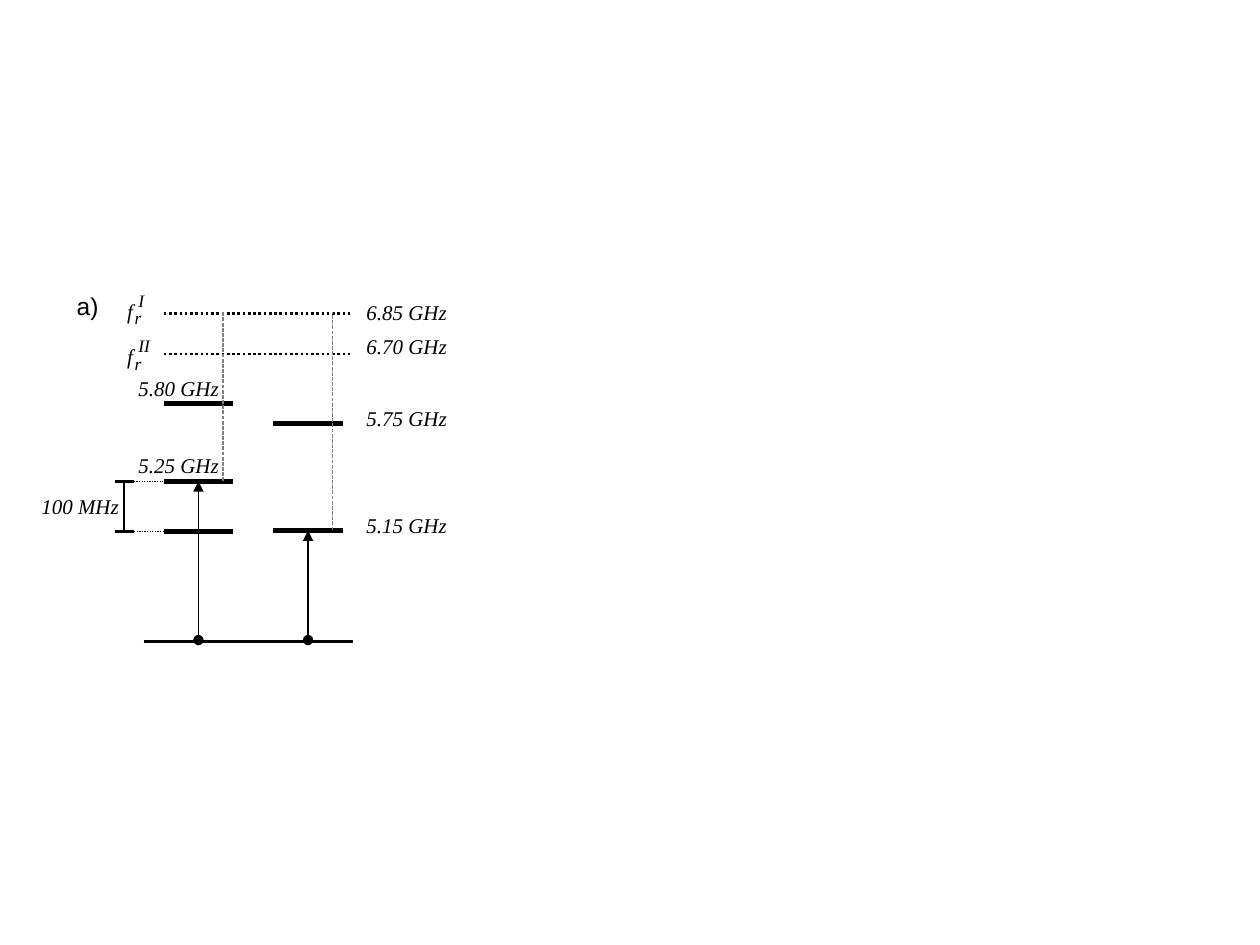
from lxml import etree
from pptx import Presentation, util as u
from pptx.dml.color import RGBColor
from pptx.enum import dml, shapes as kinds, text
from pptx.oxml.ns import qn

BLACK, GREY = "000000", "808080"
SERIF = {"name": "Times New Roman", "size": u.Pt(12), "italic": True}
SMALL = {**SERIF, "size": u.Pt(10)}
SANS = {"name": "Arial", "size": u.Pt(14), "italic": False}
DOTS, DASHES = dml.MSO_LINE.ROUND_DOT, dml.MSO_LINE.SQUARE_DOT
LABEL_WIDTH, LABEL_HEIGHT = 0.85, 0.3


def colour(value):
    """Return the colour for a hex string."""
    return RGBColor.from_string(value)


def add_line(shapes, start, end, width, tone=BLACK, dash=None, ends=()):
    """Draw a straight line, with an optional dash and line ends."""
    points = [u.Inches(value) for value in (*start, *end)]
    connector = shapes.add_connector(kinds.MSO_CONNECTOR.STRAIGHT, *points)
    connector.line.color.rgb = colour(tone)
    connector.line.width = u.Pt(width)
    if dash:
        connector.line.dash_style = dash
    outline = connector.line._get_or_add_ln()
    for tag, kind in zip(("a:headEnd", "a:tailEnd"), ends):
        etree.SubElement(outline, qn(tag), type=kind)
    etree.SubElement(connector._element.spPr, qn("a:effectLst"))


def add_label(shapes, words, left, top, width=LABEL_WIDTH, height=LABEL_HEIGHT, style=SERIF):
    """Write one line of text in a box that fits it."""
    box = shapes.add_textbox(*[u.Inches(value) for value in (left, top, width, height)])
    frame = box.text_frame
    frame.word_wrap = False
    frame.auto_size = text.MSO_AUTO_SIZE.SHAPE_TO_FIT_TEXT
    run = frame.paragraphs[0].add_run()
    run.text = words
    for name, value in style.items():
        setattr(run.font, name, value)
    run.font.color.rgb = colour(BLACK)


def add_resonator(shapes, left, top, number, line_top, number_width):
    """Draw a resonator's symbol and its dotted level."""
    symbol = shapes.add_group_shape().shapes
    add_label(symbol, "f", left, top + 0.07, 0.25)
    add_label(symbol, number, left + 0.09, top, number_width, 0.27, SMALL)
    add_label(symbol, "r", left + 0.06, top + 0.14, 0.26, 0.27, SMALL)
    add_line(shapes, (left + 0.39, line_top), (left + 1.89, line_top), 1.5, dash=DOTS)


def add_qubit(shapes, left, top, ground, levels, target):
    """Draw a qubit's levels, its excitation arrow and its guide up to the resonator."""
    for level in levels:
        add_line(shapes, (left, level), (left + 0.55, level), 3)
    middle, guide = left + 0.275, left + 0.47
    add_line(shapes, (middle, ground), (middle, target), 0.75, ends=("oval", "triangle"))
    add_line(shapes, (guide, target), (guide, top), 0.75, GREY, DASHES)


def add_splitting(shapes, left, top, width, height):
    """Draw the bracket for the level splitting, with its label and dotted leaders."""
    bracket = shapes.add_group_shape().shapes
    middle, right = left + width / 2, left + width
    add_line(bracket, (middle, top), (middle, top + height), 1.5)
    for edge, reach in ((top, 0.79), (top + height, 0.24)):
        add_line(bracket, (left, edge), (right, edge), 1.5)
        add_line(shapes, (right + reach, edge), (right, edge), 0.75, dash=DOTS)
    add_label(shapes, "100 MHz", left - 0.68, top + 0.05, 0.82)


def main():
    """Build the energy level diagram."""
    presentation = Presentation()
    presentation.slide_width, presentation.slide_height = u.Inches(10), u.Inches(7.5)
    shapes = presentation.slides.add_slide(presentation.slide_layouts[6]).shapes

    add_label(shapes, "a)", 0.51, 2.26, 0.38, 0.34, SANS)
    add_line(shapes, (1.14, 5.09), (2.8, 5.09), 1.5)
    add_resonator(shapes, 0.91, 2.25, "I", 2.49, 0.25)
    add_resonator(shapes, 0.91, 2.61, "II", 2.81, 0.3)
    add_splitting(shapes, 0.91, 3.82, 0.15, 0.4)
    add_qubit(shapes, 1.3, 2.48, 5.08, (3.2, 3.82, 4.22), 3.82)
    add_qubit(shapes, 2.17, 2.48, 5.08, (3.36, 4.21), 4.21)

    frequencies = {
        1: (("5.80", 2.93), ("5.25", 3.54)),
        2.81: (("6.85", 2.33), ("6.70", 2.6), ("5.75", 3.17), ("5.15", 4.02)),
    }
    for left, entries in frequencies.items():
        for value, top in entries:
            add_label(shapes, f"{value} GHz", left, top)

    presentation.save("out.pptx")


if __name__ == "__main__":
    main()
